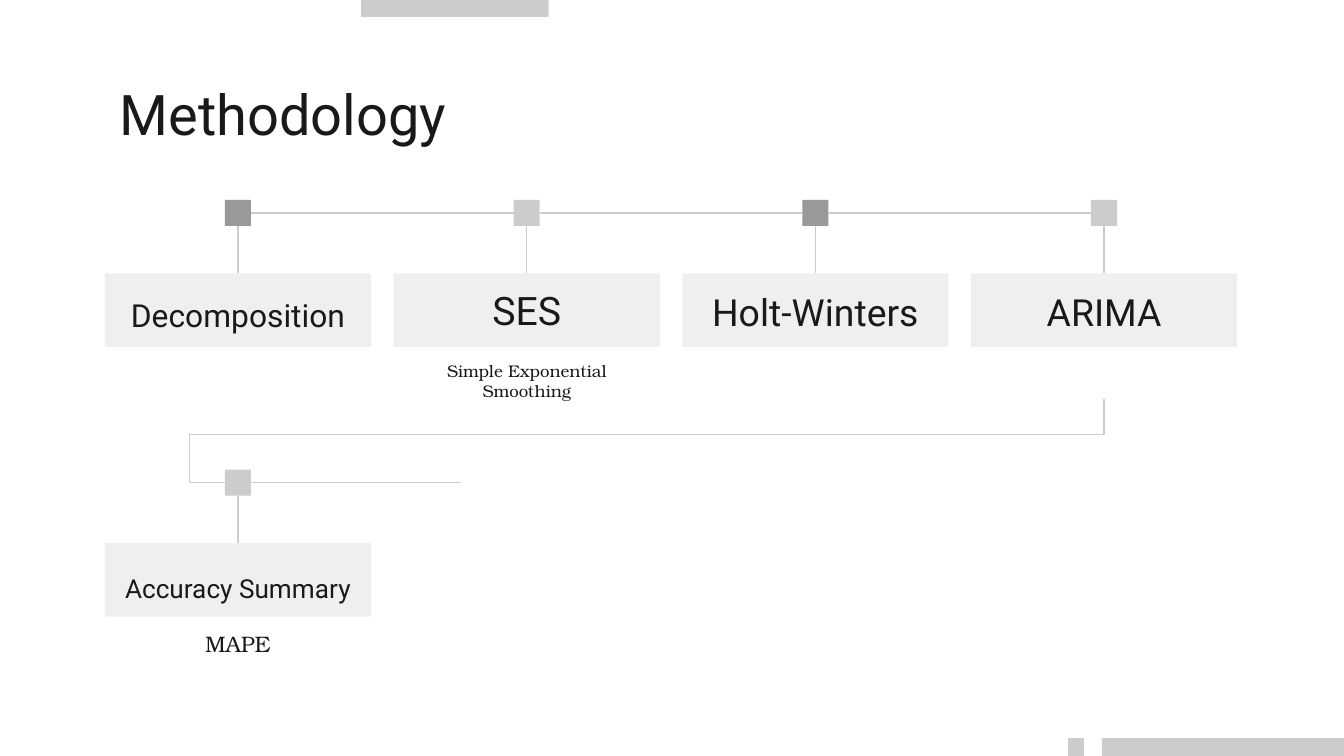
from dataclasses import dataclass

import pptx
import pptx.dml.color
import pptx.enum.shapes
import pptx.enum.text
import pptx.oxml
import pptx.oxml.ns
import pptx.util
from pptx.util import Pt


@dataclass(frozen=True)
class Theme:
    ink: str = "191919"
    dark: str = "999999"
    light: str = "CCCCCC"
    panel: str = "EFEFEF"
    heading_font: str = "Roboto"
    caption_font: str = "TeX Gyre Bonum"
    title_size: int = 30
    step_sizes: tuple = (17, 21, 20, 20)
    summary_size: int = 14
    caption_sizes: tuple = (9, 12)
    line_width: float = 0.75


theme = Theme()
rgb = pptx.dml.color.RGBColor.from_string
align = pptx.enum.text.PP_ALIGN
anchor = pptx.enum.text.MSO_ANCHOR
connector_type = pptx.enum.shapes.MSO_CONNECTOR

deck = pptx.Presentation()
deck.slide_width, deck.slide_height = Pt(720), Pt(405)
slide = deck.slides.add_slide(deck.slide_layouts[6])
shapes = slide.shapes


def add_block(left, top, width, height, color):
    block = shapes.add_shape(pptx.enum.shapes.MSO_SHAPE.RECTANGLE,
                             Pt(left), Pt(top), Pt(width), Pt(height))
    block.shadow.inherit = False
    block.fill.solid()
    block.fill.fore_color.rgb = rgb(color)
    block.line.fill.background()
    return block


def write(holder, text, size, font, alignment, vertical):
    frame = holder.text_frame
    frame.word_wrap = True
    frame.vertical_anchor = vertical
    frame.margin_left = frame.margin_right = Pt(7.2)
    frame.margin_top = frame.margin_bottom = Pt(7.2)
    frame.text = text
    paragraph = frame.paragraphs[0]
    paragraph.alignment = alignment
    run_font = paragraph.runs[0].font
    run_font.size, run_font.name = Pt(size), font
    run_font.color.rgb = rgb(theme.ink)


# Edge bars
for left, top, width in [(193.5, -0.5, 100.5), (572.2, 395.4, 8.5), (590.3, 395.4, 129.7)]:
    add_block(left, top, width, 9.6, theme.light)

# Title
title = shapes.add_textbox(Pt(57), Pt(35.4), Pt(607), Pt(45))
write(title, "Methodology", theme.title_size, theme.heading_font, align.LEFT, anchor.TOP)

# Grid of steps: a marker above a panel, with an optional caption below
first_left, pitch = 56.2, 154.67
panel_width, panel_height = 142.6, 39.4
marker_size, marker_top = 14, 107.1
panel_drop, caption_drop = 39.4, 78.8
row_pitch = 144.5
first_center = first_left + panel_width / 2

# Column, row, label, label size, marker colour, caption, caption size
steps = [
    (0, 0, "Decomposition", theme.step_sizes[0], theme.dark, None, None),
    (1, 0, "SES", theme.step_sizes[1], theme.light,
     "Simple Exponential Smoothing", theme.caption_sizes[0]),
    (2, 0, "Holt-Winters", theme.step_sizes[2], theme.dark, None, None),
    (3, 0, "ARIMA", theme.step_sizes[3], theme.light, None, None),
    (0, 1, "Accuracy Summary", theme.summary_size, theme.light,
     "MAPE", theme.caption_sizes[1]),
]
markers, links = [], []
for column, row, label, size, color, caption, caption_size in steps:
    left = first_left + column * pitch
    top = marker_top + row * row_pitch
    marker = add_block(left + (panel_width - marker_size) / 2, top,
                       marker_size, marker_size, color)
    panel = add_block(left, top + panel_drop, panel_width, panel_height, theme.panel)
    write(panel, label, size, theme.heading_font, align.CENTER, anchor.BOTTOM)
    if caption:
        note = shapes.add_textbox(Pt(left), Pt(top + caption_drop), Pt(panel_width), Pt(28))
        write(note, caption, caption_size, theme.caption_font, align.CENTER, anchor.TOP)
    markers.append(marker)
    links.append((marker, 2, panel, 0))

# Links along the first row and from each marker to its panel
links += [(a, 3, b, 1) for a, b in zip(markers[:3], markers[1:4])]
lines = []
for start, start_side, end, end_side in links:
    link = shapes.add_connector(connector_type.STRAIGHT, 0, 0, 0, 0)
    link.begin_connect(start, start_side)
    link.end_connect(end, end_side)
    lines.append(link)

# Line through the summary marker
row_axis = marker_top + row_pitch + marker_size / 2
lines.append(shapes.add_connector(connector_type.STRAIGHT,
                                  Pt(106.6), Pt(row_axis), Pt(247.2), Pt(row_axis)))

# Elbow from the end of the first row to the summary marker, turned by 90 degrees
elbow_right, elbow_top = first_center + 3 * pitch, 213.9
elbow_left = first_center - marker_size / 2
drop, span = row_axis - elbow_top, elbow_right - elbow_left
middle_x, middle_y = (elbow_left + elbow_right) / 2, (elbow_top + row_axis) / 2
elbow = shapes.add_connector(connector_type.ELBOW,
                             Pt(middle_x - drop / 2), Pt(middle_y - span / 2),
                             Pt(middle_x + drop / 2), Pt(middle_y + span / 2))
qn = pptx.oxml.ns.qn
elbow.element.spPr.find(qn("a:xfrm")).set("rot", str(90 * 60000))
geometry = elbow.element.spPr.find(qn("a:prstGeom"))
geometry.set("prst", "bentConnector4")
adjustments = geometry.find(qn("a:avLst"))
for name, value in [("adj1", 42200), ("adj2", 104000)]:
    guide = adjustments.makeelement(qn("a:gd"), {"name": name, "fmla": f"val {value}"})
    adjustments.append(guide)
lines.append(elbow)

# Line style
for line in lines:
    line.line.color.rgb = rgb(theme.light)
    line.line.width = Pt(theme.line_width)
    properties = line.element.spPr
    properties.append(properties.makeelement(qn("a:effectLst"), {}))

deck.save("out.pptx")
